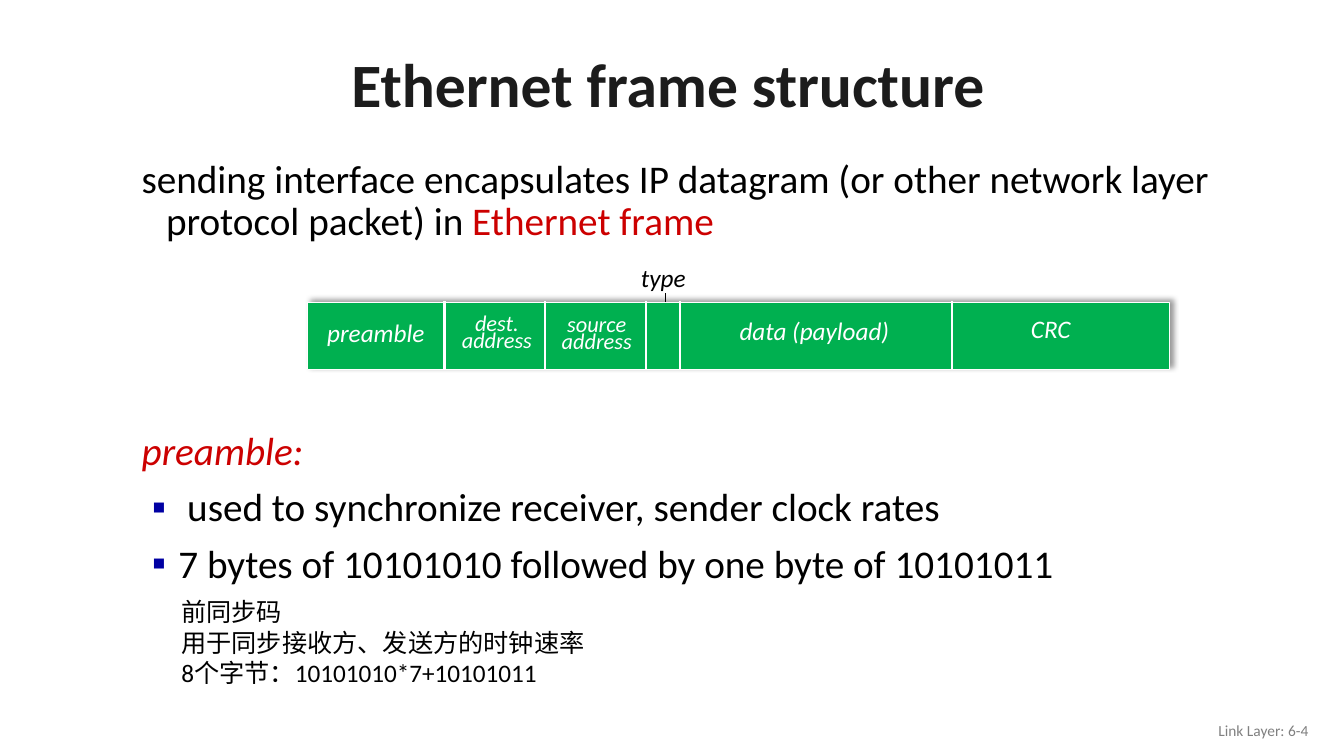
"""Build the slide on the structure of an Ethernet frame."""
from lxml import etree
from pptx import Presentation
from pptx.dml.color import RGBColor
from pptx.enum.shapes import MSO_CONNECTOR, MSO_SHAPE
from pptx.enum.text import MSO_ANCHOR, MSO_AUTO_SIZE, PP_ALIGN
from pptx.oxml.ns import qn
from pptx.util import Pt

LEFT, CENTER, RIGHT = PP_ALIGN.LEFT, PP_ALIGN.CENTER, PP_ALIGN.RIGHT
TOP, MIDDLE = MSO_ANCHOR.TOP, MSO_ANCHOR.MIDDLE
NO_AUTOFIT = MSO_AUTO_SIZE.NONE
STRAIGHT, RECTANGLE = MSO_CONNECTOR.STRAIGHT, MSO_SHAPE.RECTANGLE

THEME = {
    "font": "Calibri",
    "title": "1C1C1C", "text": "000000", "accent": "CC0000", "bullet": "0000A3",
    "frame": "00B050", "inverse": "FFFFFF", "footer": "808080",
    "title_size": 44, "body_size": 28, "label_size": 18, "address_size": 16,
    "footer_size": 11,
}


def write_text(box, lines, size, color, align=LEFT, anchor=TOP, spacing=None,
               bold=False, italic=False):
    """Fill a box with uniformly formatted paragraphs."""
    frame = box.text_frame
    frame.word_wrap = True
    frame.auto_size = NO_AUTOFIT
    frame.vertical_anchor = anchor
    frame.text = "\n".join(lines)
    for para in frame.paragraphs:
        para.alignment = align
        para.line_spacing = spacing
        para.space_before = Pt(0)
        for span in para.runs:
            span.font.name = THEME["font"]
            span.font.size = Pt(THEME[size])
            span.font.color.rgb = RGBColor.from_string(THEME[color])
            span.font.bold = bold
            span.font.italic = italic
    return frame


def draw_line(x, top, bottom, color, width):
    """Draw a vertical line without a shadow."""
    line = page.shapes.add_connector(STRAIGHT, Pt(x), Pt(top), Pt(x), Pt(bottom))
    line.line.color.rgb = RGBColor.from_string(THEME[color])
    line.line.width = Pt(width)
    etree.SubElement(line._element.spPr, qn("a:effectLst"))


deck = Presentation()
deck.slide_width, deck.slide_height = Pt(960), Pt(540)
page = deck.slides.add_slide(deck.slide_layouts[1])

title, preamble_list = page.placeholders
title.left, title.top, title.width, title.height = Pt(63.4), Pt(27.4), Pt(828), Pt(70.6)
write_text(title, ["Ethernet frame structure"], "title_size", "title", CENTER, MIDDLE,
           0.9, bold=True)

footer = page.shapes.add_textbox(Pt(725.8), Pt(507.6), Pt(216), Pt(28.8))
write_text(footer, ["Link Layer: 6-4"], "footer_size", "footer", RIGHT, MIDDLE)

intro = page.shapes.add_textbox(Pt(83.5), Pt(110.2), Pt(876.5), Pt(80))
intro_para = write_text(
    intro,
    ["sending interface encapsulates IP datagram (or other network layer "
     "protocol packet) in "],
    "body_size", "text", spacing=0.9).paragraphs[0]
intro_properties = intro_para._p.get_or_add_pPr()
intro_properties.set("marL", str(Pt(28)))
intro_properties.set("indent", str(Pt(-17.5)))
term = intro_para.add_run()
term.text = "Ethernet frame"
term.font.name = THEME["font"]
term.font.size = Pt(THEME["body_size"])
term.font.color.rgb = RGBColor.from_string(THEME["accent"])

draw_line(475.2, 209.5, 227.5, "text", 0.75)
ethernet_frame = page.shapes.add_shape(RECTANGLE, Pt(219.6), Pt(216), Pt(615.6), Pt(48.2))
ethernet_frame.fill.solid()
ethernet_frame.fill.fore_color.rgb = RGBColor.from_string(THEME["frame"])
ethernet_frame.line.color.rgb = RGBColor.from_string(THEME["inverse"])
ethernet_frame.line.width = Pt(0.75)
ethernet_frame.shadow.inherit = False
effects = ethernet_frame._element.spPr.find(qn("a:effectLst"))
shadow = etree.SubElement(effects, qn("a:outerShdw"), blurRad=str(Pt(4)),
                          dist=str(Pt(3)), dir="18900000", algn="bl", rotWithShape="0")
shadow_color = etree.SubElement(shadow, qn("a:srgbClr"), val=THEME["text"])
etree.SubElement(shadow_color, qn("a:alpha"), val="40000")

for divider in (317.5, 389.5, 461.5, 486, 679.7):
    draw_line(divider, 215.3, 264, "inverse", 1.5)

FIELDS = [
    (["preamble"], 216, 232.6, 105, "label_size"),
    (["dest.", "address"], 313.2, 224.6, 83.5, "address_size"),
    (["source", "address"], 384.5, 225.4, 83.5, "address_size"),
    (["data (payload)"], 514, 231.1, 135.4, "label_size"),
    (["CRC"], 708.5, 229.7, 84.2, "label_size"),
]
for lines, left, top, width, size in FIELDS:
    label = page.shapes.add_textbox(Pt(left), Pt(top), Pt(width), Pt(7 + 12 * len(lines)))
    write_text(label, lines, size, "inverse", CENTER, spacing=Pt(12), italic=True)

type_label = page.shapes.add_textbox(Pt(450.7), Pt(183.6), Pt(75.6), Pt(26))
write_text(type_label, ["type"], "label_size", "text", italic=True)

preamble_list.left, preamble_list.top = Pt(83.5), Pt(304.6)
preamble_list.width, preamble_list.height = Pt(876.5), Pt(122)
heading, *items = write_text(
    preamble_list,
    ["preamble:",
     " used to synchronize receiver, sender clock rates",
     "7 bytes of 10101010 followed by one byte of 10101011"],
    "body_size", "text", spacing=0.9).paragraphs
heading_properties = heading._p.get_or_add_pPr()
heading_properties.set("marL", str(Pt(28)))
heading_properties.set("indent", str(Pt(-17.5)))
etree.SubElement(heading_properties, qn("a:buNone"))
heading.runs[0].font.italic = True
heading.runs[0].font.color.rgb = RGBColor.from_string(THEME["accent"])
for item in items:
    item.space_before = Pt(10)
    properties = item._p.get_or_add_pPr()
    properties.set("marL", str(Pt(36.7)))
    properties.set("indent", str(Pt(-18.7)))
    bullet_color = etree.SubElement(properties, qn("a:buClr"))
    etree.SubElement(bullet_color, qn("a:srgbClr"), val=THEME["bullet"])
    etree.SubElement(properties, qn("a:buFont"), typeface=THEME["font"])
    etree.SubElement(properties, qn("a:buChar"), char="▪")

translation = page.shapes.add_textbox(Pt(122.4), Pt(422.6), Pt(608.4), Pt(72.7))
write_text(translation,
           ["前同步码", "用于同步接收方、发送方的时钟速率", "8个字节：10101010*7+10101011"],
           "label_size", "text")

deck.save("out.pptx")
